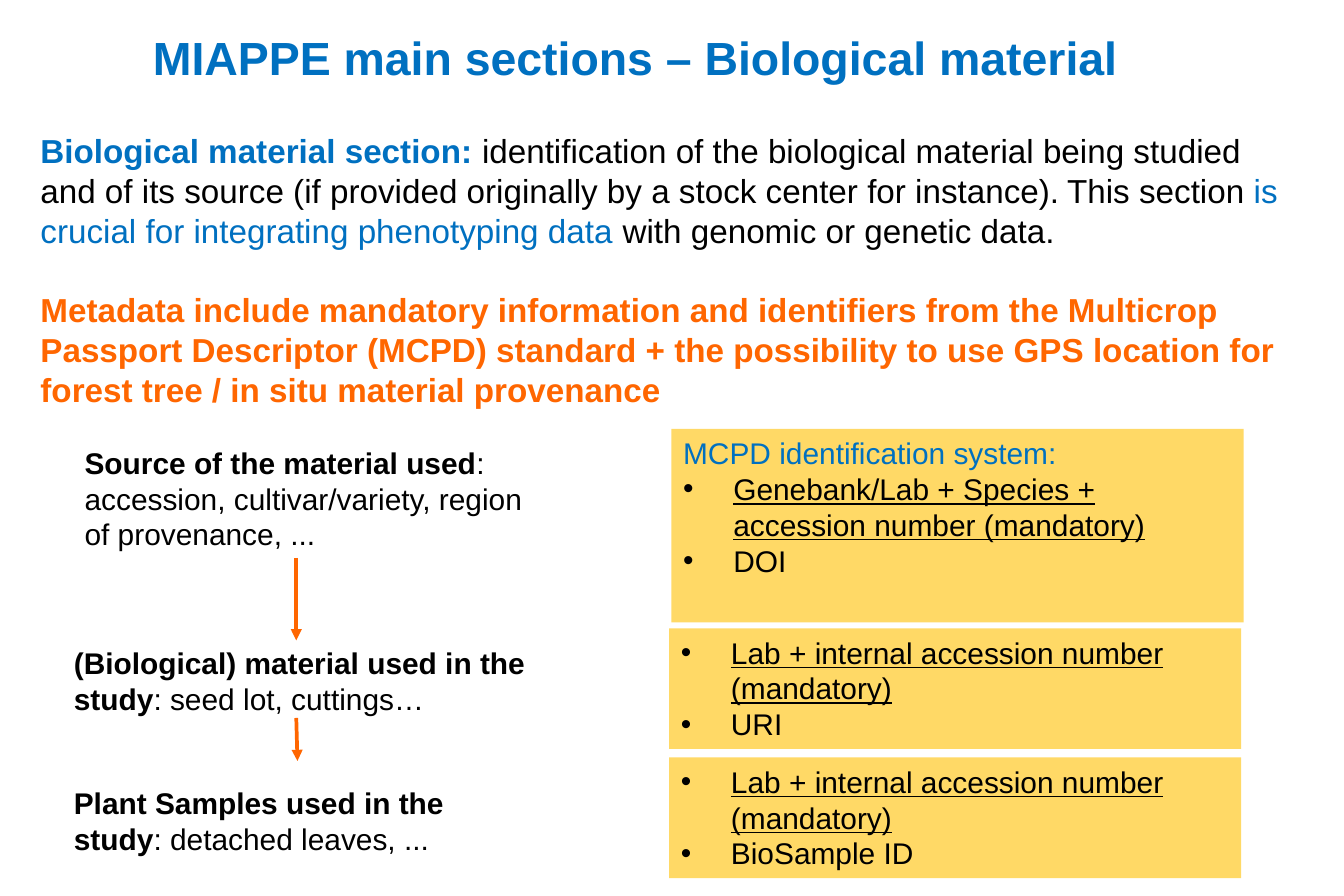
from lxml import etree
from pptx import Presentation
from pptx import util as u
from pptx.dml.color import RGBColor
from pptx.enum import shapes, text
from pptx.oxml.ns import qn

PX = 9144  # 100 px to the inch
HUES = {"blue": "0070C0", "black": "000000", "orange": "FF6600",
        "yellow": "FFD966", "white": "FFFFFF"}


def hue(name):
    return RGBColor.from_string(HUES[name])


def write(shape, words, size=18, color="black", bold=False, under=False,
          new=True, bullet=False, before=0):
    """Add a run, in a new paragraph unless new is False."""
    frame = shape.text_frame
    frame.word_wrap = True
    para = frame.paragraphs[-1]
    if new and para.runs:
        para = frame.add_paragraph()
    if new:
        para.alignment = text.PP_ALIGN.LEFT
        para.line_spacing = u.Pt(size * 1.2)
        para.space_before = u.Pt(before)
    if bullet:
        props = para._p.get_or_add_pPr()
        props.set("marL", str(42 * PX))
        props.set("indent", str(-42 * PX))
        dye = etree.SubElement(props, qn("a:buClr"))
        etree.SubElement(dye, qn("a:srgbClr"), val=HUES["black"])
        etree.SubElement(props, qn("a:buFont"), typeface="Arial")
        etree.SubElement(props, qn("a:buChar"), char="•")
    run = para.add_run()
    run.text = words
    font = run.font
    font.name, font.size = "Arial", u.Pt(size)
    font.bold, font.underline = bold, under
    font.color.rgb = hue(color)


deck = Presentation()
deck.slide_width, deck.slide_height = 1125 * PX, 750 * PX
slide = deck.slides.add_slide(deck.slide_layouts[5])
items = slide.shapes

# Title
title = items.title
title.left, title.top, title.width, title.height = (
    n * PX for n in (118, 19, 905, 57))
title.fill.solid()
title.fill.fore_color.rgb = hue("white")
title.text_frame.auto_size = text.MSO_AUTO_SIZE.NONE
title.text_frame.vertical_anchor = text.MSO_ANCHOR.MIDDLE
write(title, "MIAPPE main sections – Biological material",
      size=28, color="blue", bold=True)

# Introduction
intro = items.add_textbox(24 * PX, 104 * PX, 1076 * PX, 255 * PX)
write(intro, "Biological material section: ", size=20, color="blue", bold=True)
write(intro, "identification of the biological material being studied and of "
      "its source (if provided originally by a stock center for instance).",
      size=20, new=False)
write(intro, " ", size=14, new=False)
write(intro, "This section ", size=20, new=False)
write(intro, "is crucial for integrating phenotyping data",
      size=20, color="blue", new=False)
write(intro, " with genomic or genetic data.", size=20, new=False)
write(intro, "Metadata include mandatory information and identifiers from the "
      "Multicrop Passport Descriptor (MCPD) standard + the possibility to use "
      "GPS location for forest tree / in situ material provenance",
      size=20, color="orange", bold=True, before=24)

# Material chain on the left
for left, top, high, head, rest in (
        (61, 367, 101, "Source of the material used",
         ": accession, cultivar/variety, region of provenance, ..."),
        (52, 535, 68, "(Biological) material used in the study",
         ": seed lot, cuttings…"),
        (52, 652, 68, "Plant Samples used in the study",
         ": detached leaves, ...")):
    step = items.add_textbox(left * PX, top * PX, 410 * PX, high * PX)
    write(step, head, bold=True)
    write(step, rest, new=False)

# Identifier boxes on the right
lab = "Lab + internal accession number (mandatory)"
for left, top, high, head, must, other in (
        (562, 359, 162, "MCPD identification system:",
         "Genebank/Lab + Species + accession number (mandatory)", "DOI"),
        (560, 526, 101, "", lab, "URI"),
        (560, 634, 101, "", lab, "BioSample ID")):
    box = items.add_shape(shapes.MSO_SHAPE.RECTANGLE,
                          left * PX, top * PX, 479 * PX, high * PX)
    box.shadow.inherit = False
    box.fill.solid()
    box.fill.fore_color.rgb = hue("yellow")
    box.line.fill.background()
    box.text_frame.vertical_anchor = text.MSO_ANCHOR.TOP
    if head:
        write(box, head, color="blue")
    write(box, must, under=True, bullet=True)
    write(box, other, bullet=True)

# Arrows between the steps
for top, end, low in ((467, 248, 536), (601, 249, 637)):
    arrow = items.add_connector(shapes.MSO_CONNECTOR.STRAIGHT,
                                248 * PX, top * PX, end * PX, low * PX)
    arrow.line.color.rgb = hue("orange")
    arrow.line.width = u.Pt(2.25)
    etree.SubElement(arrow.line._get_or_add_ln(), qn("a:tailEnd"),
                     type="triangle")
    etree.SubElement(arrow._element.spPr, qn("a:effectLst"))

deck.save("out.pptx")
